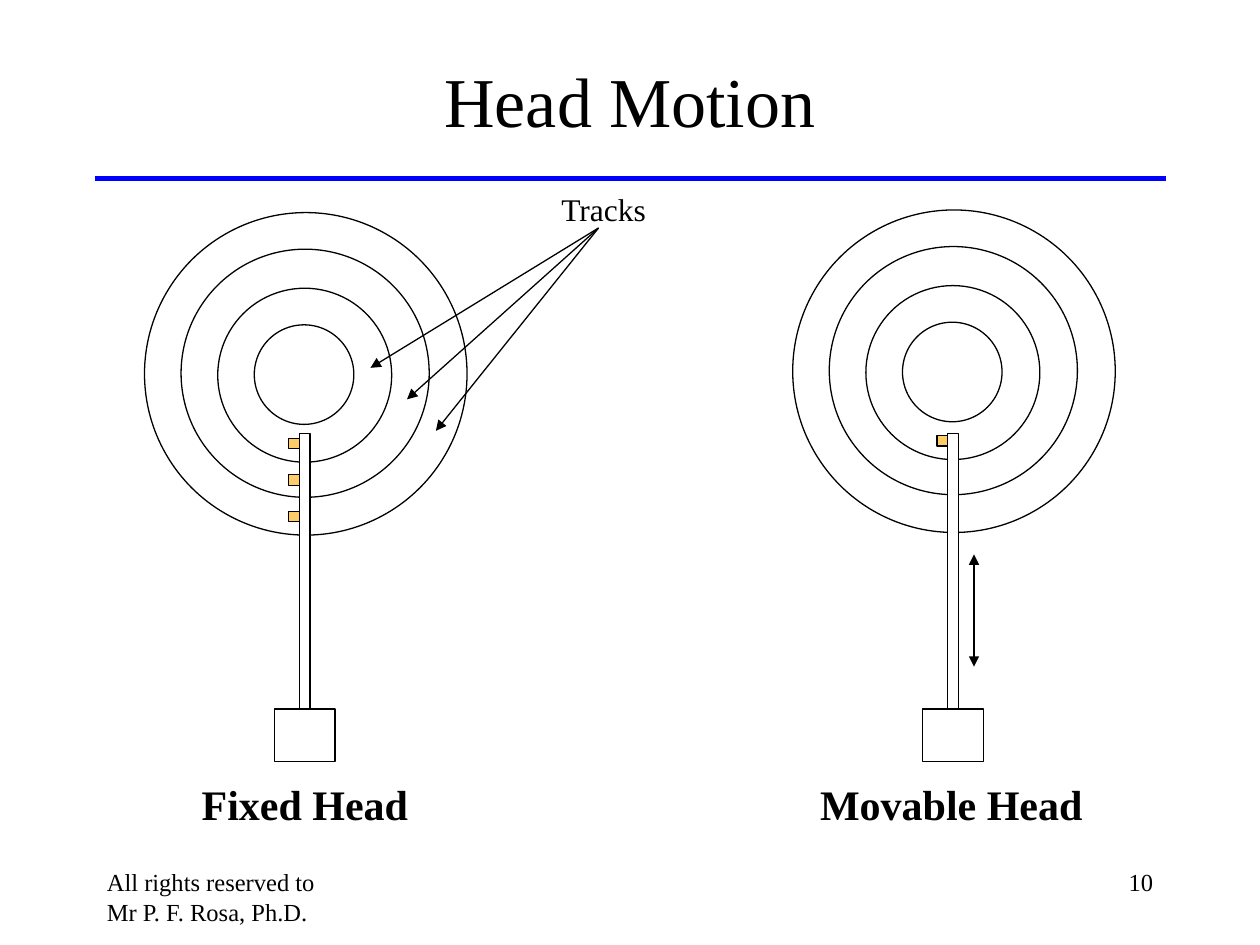
from dataclasses import dataclass

from lxml import etree
from pptx import Presentation
from pptx.dml.color import RGBColor
from pptx.enum.shapes import MSO_CONNECTOR, MSO_SHAPE
from pptx.enum.text import MSO_ANCHOR, MSO_AUTO_SIZE, PP_ALIGN
from pptx.oxml.ns import qn
from pptx.util import Pt


@dataclass(frozen=True)
class Theme:
    """Colours, font and type sizes of the slide."""
    font: str = "Times New Roman"
    ink: RGBColor = RGBColor(0, 0, 0)
    paper: RGBColor = RGBColor(255, 255, 255)
    rule: RGBColor = RGBColor(0, 0, 255)
    head: RGBColor = RGBColor(255, 204, 102)
    title: float = 40
    caption: float = 24
    label: float = 18
    footer: float = 14
    thin: float = 0.75
    thick: float = 3


THEME = Theme()
# Ring offsets from the box's left and top, and diameter
RINGS = [(0, 0, 184.3), (20.9, 20.9, 141.8), (41.8, 43.2, 99.4), (62.7, 64.1, 56.9)]
TRACK_STEP = 20.9


def write(shape, text, size, align, bold=False):
    """Put one styled paragraph into a shape."""
    paragraph = shape.text_frame.paragraphs[0]
    paragraph.alignment = align
    run = paragraph.add_run()
    run.text = text
    run.font.name, run.font.size, run.font.bold = THEME.font, Pt(size), bold
    run.font.color.rgb = THEME.ink


def add_text(slide, box, text, size, align, bold=False, wrap=False):
    """Add a text box; one that does not wrap grows with its text."""
    shape = slide.shapes.add_textbox(*map(Pt, box))
    shape.text_frame.word_wrap = wrap
    if not wrap:
        shape.text_frame.auto_size = MSO_AUTO_SIZE.SHAPE_TO_FIT_TEXT
    write(shape, text, size, align, bold)


def add_outline(slide, kind, box, fill=None):
    """Add a thinly outlined shape, hollow unless a fill is given."""
    shape = slide.shapes.add_shape(kind, *map(Pt, box))
    shape.shadow.inherit = False
    shape.line.color.rgb, shape.line.width = THEME.ink, Pt(THEME.thin)
    if fill is None:
        shape.fill.background()
    else:
        shape.fill.solid()
        shape.fill.fore_color.rgb = fill


def add_line(slide, start, end, color=THEME.ink, width=THEME.thin, arrows=()):
    """Add a straight line with arrowheads at the named ends."""
    line = slide.shapes.add_connector(MSO_CONNECTOR.STRAIGHT, *map(Pt, (*start, *end)))
    line.line.color.rgb, line.line.width = color, Pt(width)
    outline = line.line._get_or_add_ln()
    for arrow in arrows:
        etree.SubElement(outline, qn(f"a:{arrow}"), type="triangle")
    etree.SubElement(line._element.spPr, qn("a:effectLst"))


def add_header(slide, box, text):
    """Place the title in its box with the rule along the lower edge."""
    left, top, width, height = box
    title = slide.shapes.title
    title.left, title.top, title.width, title.height = map(Pt, box)
    title.text_frame.vertical_anchor = MSO_ANCHOR.MIDDLE
    write(title, text, THEME.title, PP_ALIGN.CENTER)
    bottom = top + height
    add_line(slide, (left, bottom), (left + width, bottom), THEME.rule, THEME.thick)


def add_drive(slide, box, head_count):
    """Draw disc, arm, base and heads; the disc hangs from the top of the box."""
    left, top, width, height = box
    bottom = top + height
    for dx, dy, size in RINGS:
        add_outline(slide, MSO_SHAPE.OVAL, (left + dx, top + dy, size, size))
    for box_part in ((left + 88.6, bottom - 187.5, 6, 174.2),
                     (left + 74.3, bottom - 30.2, 34.6, 30.2)):
        add_outline(slide, MSO_SHAPE.RECTANGLE, box_part, THEME.paper)
    for track in range(head_count):
        head = (left + 82.4, top + 128.9 + track * TRACK_STEP, 6, 6)
        add_outline(slide, MSO_SHAPE.RECTANGLE, head, THEME.head)


def add_tracks_label(slide, box):
    """Label the tracks, with an arrow to each from below the label."""
    left, top, width, height = box
    start = (left + 28.8, top + 25.2)
    add_text(slide, box, "Tracks", THEME.label, PP_ALIGN.CENTER)
    for dx, dy in ((-101.5, 105.1), (-80.6, 123.1), (-64.1, 141.1)):
        add_line(slide, start, (left + dx, top + dy), arrows=["tailEnd"])


def add_footer(slide, box, column, notice, number):
    """Place the notice at the left and the page number at the right."""
    left, top, width, height = box
    add_text(slide, (left, top, column, height), notice, THEME.footer,
             PP_ALIGN.LEFT, wrap=True)
    add_text(slide, (left + width - column, top, column, height), number,
             THEME.footer, PP_ALIGN.RIGHT, wrap=True)


def build():
    """Build and save the slide."""
    deck = Presentation()
    deck.slide_width, deck.slide_height = Pt(720), Pt(540)
    slide = deck.slides.add_slide(deck.slide_layouts[5])
    add_header(slide, (54, 12, 612, 90), "Head Motion")
    add_drive(slide, (82.6, 121.5, 184.3, 313.8), head_count=3)
    add_drive(slide, (453, 120, 184.3, 315.3), head_count=1)
    add_line(slide, (556.6, 316.8), (556.6, 381), arrows=["headEnd", "tailEnd"])
    add_tracks_label(slide, (313.2, 105.1, 63.4, 28.8))
    for text, left, width in (("Fixed Head", 108, 132.5), ("Movable Head", 461.5, 164.2)):
        add_text(slide, (left, 441.4, width, 36), text, THEME.caption,
                 PP_ALIGN.CENTER, bold=True)
    add_footer(slide, (54, 492, 612, 36), 150,
               "All rights reserved to Mr P. F. Rosa, Ph.D.", "10")
    deck.save("out.pptx")


build()
